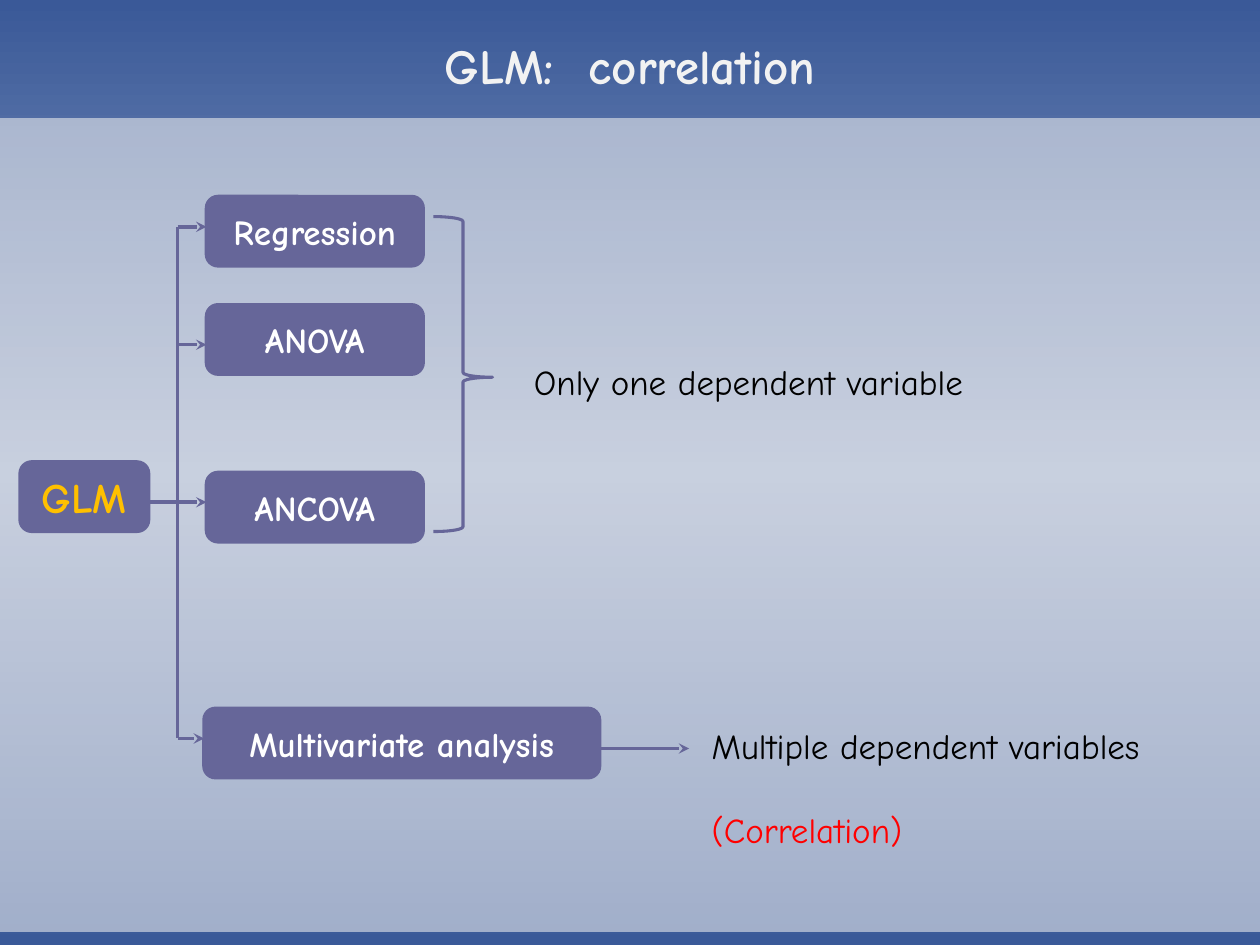
from copy import deepcopy

from lxml import etree
from pptx import Presentation
from pptx.dml.color import RGBColor
from pptx.enum.shapes import MSO_CONNECTOR, MSO_SHAPE
from pptx.enum.text import MSO_ANCHOR, PP_ALIGN
from pptx.oxml.ns import qn
from pptx.util import Pt

RECT = MSO_SHAPE.RECTANGLE
ROUNDED = MSO_SHAPE.ROUNDED_RECTANGLE
BRACE = MSO_SHAPE.RIGHT_BRACE
STRAIGHT = MSO_CONNECTOR.STRAIGHT
CENTER = PP_ALIGN.CENTER
TOP, MIDDLE = MSO_ANCHOR.TOP, MSO_ANCHOR.MIDDLE

FONT = "Comic Neue"
NAVY, MIST, PURPLE = "3A5998", "94A5C7", "666699"
PALE, WHITE, BLACK, GOLD, RED = "F2F2F2", "FFFFFF", "000000", "FFC000", "FF0000"

WIDTH, HEIGHT = 720, 540
BOX_H = 39.6
TRUNK_X = 101.5
TITLE = "GLM:  correlation"
ROOT = ("GLM", 11.5, 264, 73.4)
# text, left, top, width, height of its arrow
METHODS = [
    ("Regression", 118, 112.3, 123.8, 129.6),
    ("ANOVA", 118, 174.2, 123.8, 197),
    ("ANCOVA", 118, 270, 123.8, 287),
    ("Multivariate analysis", 116.6, 404.8, 226, 422),
]
# left, top, width, height, lines
NOTES = [
    (298, 202.3, 298, 31.7, [("Only one dependent variable", BLACK)]),
    (399.6, 410.4, 286.6, 80, [("Multiple dependent variables", BLACK),
                               ("(Correlation)", RED)]),
]


def rgb(hex_color):
    return RGBColor.from_string(hex_color)


def add_run(p, text, size, color, bold=False):
    r = p.add_run()
    r.text = text
    r.font.name = FONT
    r.font.size = Pt(size)
    r.font.bold = bold
    r.font.color.rgb = rgb(color)


def add_shape(slide, kind, x, y, w, h):
    sp = slide.shapes.add_shape(kind, Pt(x), Pt(y), Pt(w), Pt(h))
    sp.shadow.inherit = False
    return sp


def outline(sp, width=2):
    sp.line.color.rgb = rgb(PURPLE)
    sp.line.width = Pt(width)


def add_box(slide, text, x, y, w, size=20, color=WHITE):
    sp = add_shape(slide, ROUNDED, x, y, w, BOX_H)
    sp.fill.solid()
    sp.fill.fore_color.rgb = rgb(PURPLE)
    outline(sp)
    tf = sp.text_frame
    tf.vertical_anchor = MIDDLE
    p = tf.paragraphs[0]
    p.alignment = CENTER
    add_run(p, text, size, color, bold=True)


def add_line(slide, x1, y1, x2, y2, arrow=False):
    line = slide.shapes.add_connector(STRAIGHT, Pt(x1), Pt(y1), Pt(x2), Pt(y2))
    outline(line)
    if arrow:
        etree.SubElement(line.line._get_or_add_ln(), qn("a:tailEnd"), type="stealth")
    etree.SubElement(line._element.spPr, qn("a:effectLst"))


def add_note(slide, x, y, w, h, lines):
    tf = slide.shapes.add_textbox(Pt(x), Pt(y), Pt(w), Pt(h)).text_frame
    tf.word_wrap = True
    for i, (text, color) in enumerate(lines):
        p = tf.add_paragraph() if i else tf.paragraphs[0]
        if i:
            p.space_before = Pt(24)
        add_run(p, text, 20, color)


def paint_background(slide):
    fill = slide.background.fill
    fill.gradient()
    fill.gradient_angle = 270
    stops = slide._element.find(".//" + qn("a:gsLst"))
    stops.append(deepcopy(stops[-1]))
    for stop, position, color in zip(fill.gradient_stops, (0, 0.5, 1), (NAVY, MIST, NAVY)):
        stop.position = position
        stop.color.rgb = rgb(color)


def add_panel(slide):
    """Translucent band behind the diagram."""
    sp = add_shape(slide, RECT, 0, 67.5, WIDTH, 465)
    sp.fill.solid()
    sp.fill.fore_color.rgb = rgb(PALE)
    sp.line.fill.background()
    color = sp._element.spPr.find(".//" + qn("a:srgbClr"))
    etree.SubElement(color, qn("a:alpha"), val="56000")


def set_title(slide):
    title = slide.shapes.title
    title.left, title.top, title.width, title.height = Pt(0), Pt(0), Pt(WIDTH), Pt(52.6)
    title.text_frame.vertical_anchor = TOP
    p = title.text_frame.paragraphs[0]
    p.alignment = CENTER
    p.line_spacing = 1.5
    add_run(p, TITLE, 28, PALE, bold=True)


def main():
    prs = Presentation()
    prs.slide_width, prs.slide_height = Pt(WIDTH), Pt(HEIGHT)
    slide = prs.slides.add_slide(prs.slide_layouts[5])
    paint_background(slide)
    add_panel(slide)
    set_title(slide)

    text, x, y, w = ROOT
    add_box(slide, text, x, y, w, size=24, color=GOLD)
    arrow_ys = [method[-1] for method in METHODS]
    add_line(slide, x + w, arrow_ys[2], TRUNK_X, arrow_ys[2])
    add_line(slide, TRUNK_X, arrow_ys[0], TRUNK_X, arrow_ys[-1])
    for text, x, y, w, arrow_y in METHODS:
        add_box(slide, text, x, y, w)
        add_line(slide, TRUNK_X, arrow_y, x, arrow_y, arrow=True)

    brace = add_shape(slide, BRACE, 247.7, 123.8, 33.8, 180)
    brace.adjustments[0], brace.adjustments[1] = 0.08, 0.51
    brace.fill.background()
    outline(brace, 1.75)
    add_line(slide, 343.4, 427.7, 393.8, 427.7, arrow=True)
    for note in NOTES:
        add_note(slide, *note)
    prs.save("out.pptx")


if __name__ == "__main__":
    main()
